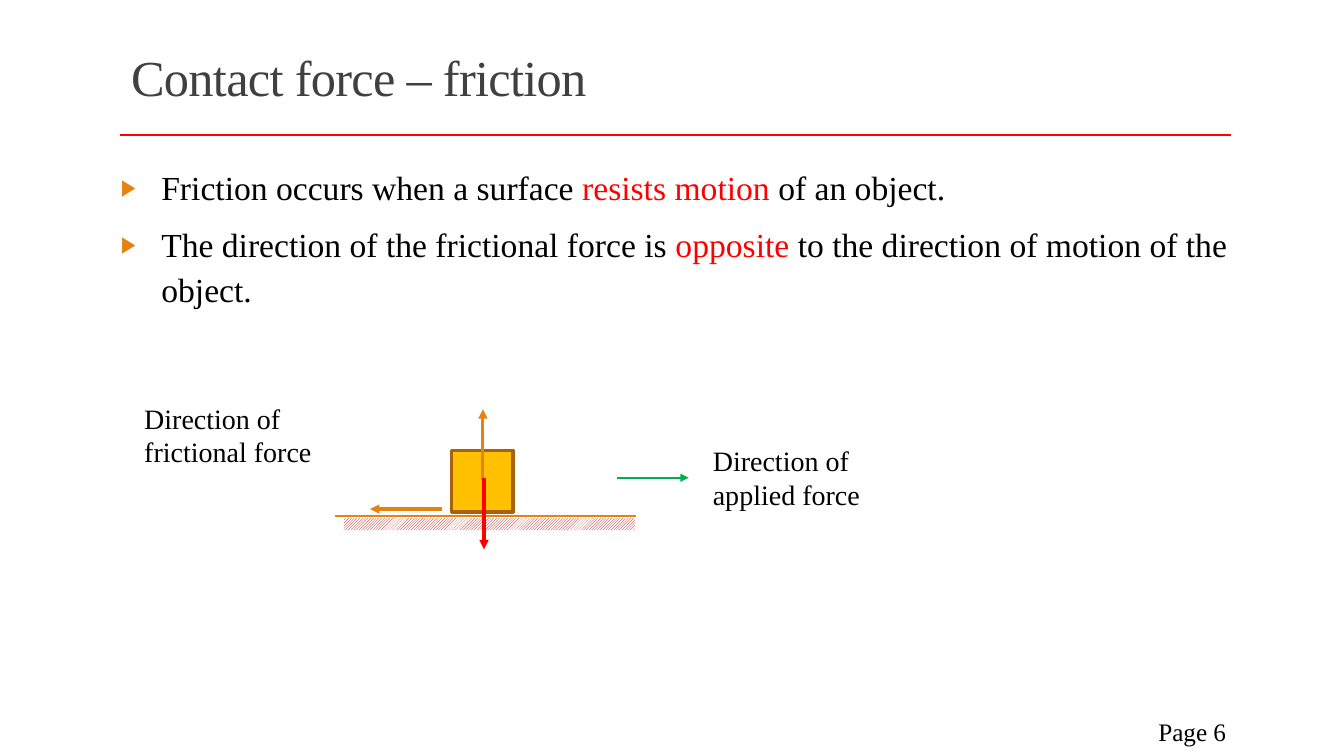
from dataclasses import dataclass

from lxml.etree import SubElement as Sub
from pptx import Presentation
from pptx.dml.color import RGBColor as Rgb
from pptx.enum.dml import MSO_PATTERN as Pattern
from pptx.enum.shapes import MSO_CONNECTOR as Link, MSO_SHAPE as Kind
from pptx.enum.text import MSO_ANCHOR as Anchor, MSO_AUTO_SIZE as Fit, PP_ALIGN as Align
from pptx.oxml.ns import qn
from pptx.shapes.autoshape import Shape
from pptx.slide import Slide
from pptx.text.text import _Paragraph as Para, _Run as Run
from pptx.util import Inches, Pt

FACE = "Times New Roman"
HUES = {
    "black": "000000", "gray": "404040", "white": "FFFFFF", "red": "FF0000",
    "orange": "E48312", "brown": "A9610D", "gold": "FFC000",
    "brick": "C00000", "green": "00B050",
}


@dataclass(frozen=True)
class Stroke:
    x1: float
    y1: float
    x2: float
    y2: float
    hue: str
    width: float
    arrow: bool = True


@dataclass(frozen=True)
class Label:
    text: str
    left: float
    top: float
    width: float
    height: float
    size: int = 20
    inset: float = 0.04
    align: Align = Align.LEFT
    anchor: Anchor = Anchor.TOP


RULE = Stroke(1.19, 1.34, 12.21, 1.34, "red", 2, False)
GROUND = Stroke(3.32, 5.12, 6.31, 5.12, "orange", 1, False)
FORCES = [
    Stroke(4.79, 4.76, 4.79, 4.06, "orange", 2.25),
    Stroke(4.8, 4.74, 4.8, 5.45, "red", 2.25),
    Stroke(4.38, 5.05, 3.67, 5.05, "orange", 2.25),
    Stroke(6.12, 4.74, 6.83, 4.74, "green", 1.5),
]
LABELS = [
    Label("Direction of applied force", 7.03, 4.36, 1.8, 0.84),
    Label("Direction of frictional force", 1.39, 3.94, 2.14, 0.84),
    Label("Page 6", 10.83, 7.06, 1.43, 0.4, 18, 0.1, Align.RIGHT, Anchor.MIDDLE),
]
# Each point is text before, marked text, text after
POINTS = [
    ("Friction occurs when a surface ", "resists motion ", "of an object."),
    ("The direction of the frictional force is ", "opposite ",
     "to the direction of motion of the object."),
]


def tint(name: str) -> Rgb:
    return Rgb.from_string(HUES[name])


def style(run: Run, size: int, hue: str) -> None:
    run.font.name = FACE
    run.font.size = Pt(size)
    run.font.color.rgb = tint(hue)


def place(shape: Shape, left: float, top: float, width: float, height: float) -> None:
    shape.left, shape.top = Inches(left), Inches(top)
    shape.width, shape.height = Inches(width), Inches(height)


def draw_stroke(slide: Slide, item: Stroke) -> None:
    line = slide.shapes.add_connector(
        Link.STRAIGHT, Inches(item.x1), Inches(item.y1), Inches(item.x2), Inches(item.y2))
    line.line.color.rgb = tint(item.hue)
    line.line.width = Pt(item.width)
    if item.arrow:
        Sub(line.line._get_or_add_ln(), qn("a:tailEnd"), type="triangle")
    Sub(line._element.spPr, qn("a:effectLst"))


def draw_label(slide: Slide, item: Label) -> None:
    box = slide.shapes.add_textbox(
        Inches(item.left), Inches(item.top), Inches(item.width), Inches(item.height))
    frame = box.text_frame
    frame.word_wrap = True
    frame.vertical_anchor = item.anchor
    frame.margin_left = frame.margin_right = Inches(item.inset)
    frame.margin_top = frame.margin_bottom = Inches(0.04)
    frame.text = item.text
    frame.paragraphs[0].alignment = item.align
    style(frame.paragraphs[0].runs[0], item.size, "black")


def draw_rect(slide: Slide, left: float, top: float, width: float, height: float) -> Shape:
    rect = slide.shapes.add_shape(
        Kind.RECTANGLE, Inches(left), Inches(top), Inches(width), Inches(height))
    rect.shadow.inherit = False
    return rect


def add_bullet(para: Para) -> None:
    props = para._p.get_or_add_pPr()
    props.set("marL", str(Inches(0.4)))
    props.set("indent", str(-Inches(0.4)))
    Sub(Sub(props, qn("a:buClr")), qn("a:srgbClr"), val=HUES["orange"])
    Sub(props, qn("a:buSzPct"), val="68000")
    Sub(props, qn("a:buChar"), char="▶")


def fill_title(slide: Slide) -> None:
    title = slide.shapes.title
    place(title, 1.2, 0.31, 11, 0.98)
    frame = title.text_frame
    frame.text = "Contact force – friction"
    frame.vertical_anchor = Anchor.MIDDLE
    frame.auto_size = Fit.NONE
    para = frame.paragraphs[0]
    para.alignment = Align.LEFT
    para.line_spacing = 0.85
    style(para.runs[0], 36, "gray")
    para.runs[0].font._element.set("spc", "-50")


def fill_body(slide: Slide) -> None:
    body = slide.placeholders[1]
    place(body, 1.2, 1.57, 11.02, 5.12)
    frame = body.text_frame
    frame.vertical_anchor = Anchor.TOP
    frame.auto_size = Fit.NONE
    frame.margin_left = frame.margin_right = 0
    for i, parts in enumerate(POINTS):
        para = frame.add_paragraph() if i else frame.paragraphs[0]
        add_bullet(para)
        para.line_spacing = 1.1
        para.space_before = Pt(6 if i else 0)
        para.space_after = Pt(3)
        for text, hue in zip(parts, ("black", "red", "black")):
            run = para.add_run()
            run.text = text
            style(run, 24, hue)


def main() -> None:
    deck = Presentation()
    deck.slide_width, deck.slide_height = Inches(13.33), Inches(7.5)
    slide = deck.slides.add_slide(deck.slide_layouts[1])

    # Heading and list
    draw_stroke(slide, RULE)
    fill_title(slide)
    fill_body(slide)

    # Block on the ground
    block = draw_rect(slide, 4.48, 4.47, 0.61, 0.61)
    block.fill.solid()
    block.fill.fore_color.rgb = tint("gold")
    block.line.color.rgb = tint("brown")
    block.line.width = Pt(2.5)
    draw_stroke(slide, GROUND)
    hatch = draw_rect(slide, 3.41, 5.14, 2.89, 0.12)
    hatch.fill.patterned()
    hatch.fill.pattern = Pattern.LIGHT_UPWARD_DIAGONAL
    hatch.fill.fore_color.rgb = tint("brick")
    hatch.fill.back_color.rgb = tint("white")
    hatch.line.fill.background()

    # Forces and labels
    for force in FORCES:
        draw_stroke(slide, force)
    for label in LABELS:
        draw_label(slide, label)

    deck.save("out.pptx")


if __name__ == "__main__":
    main()
